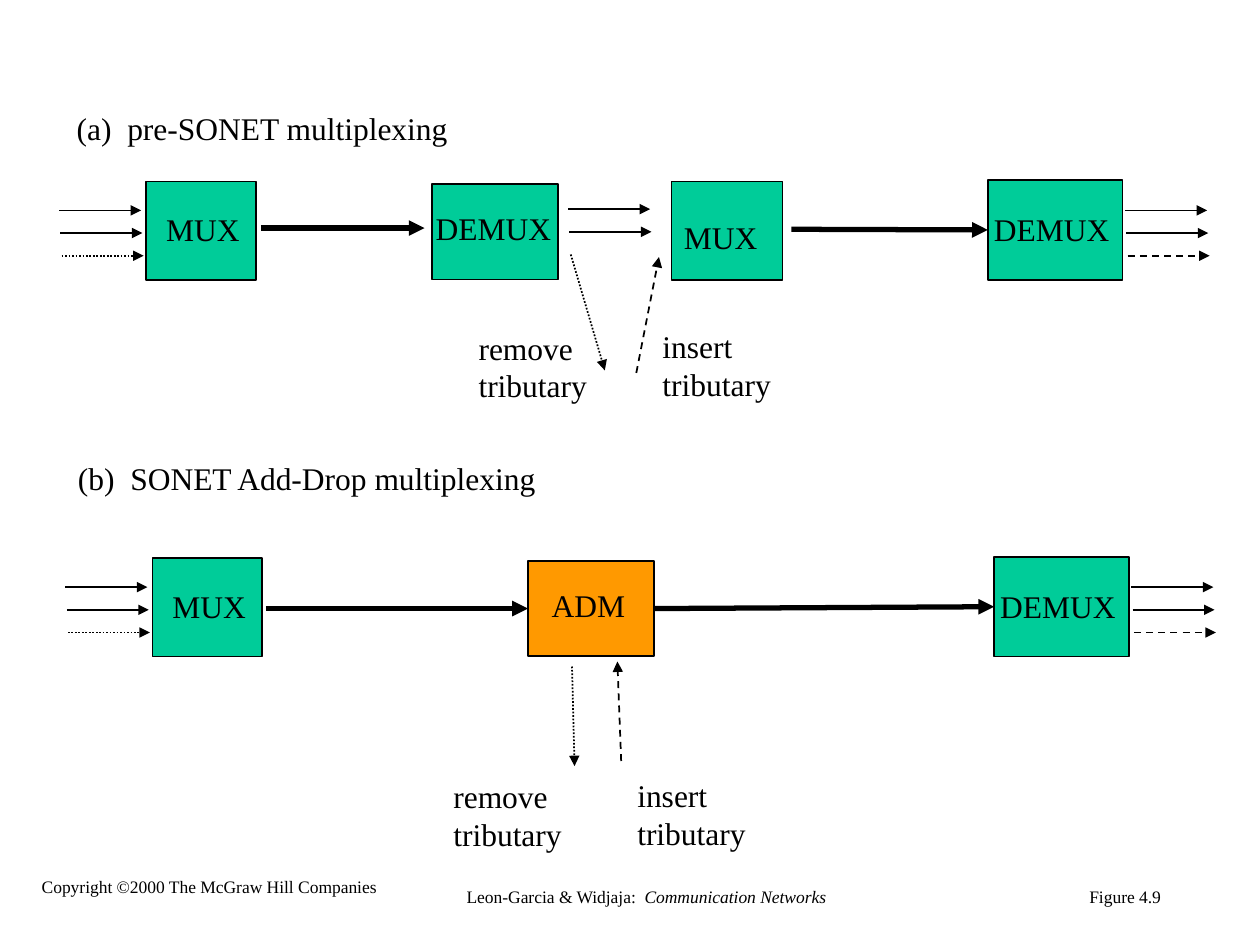
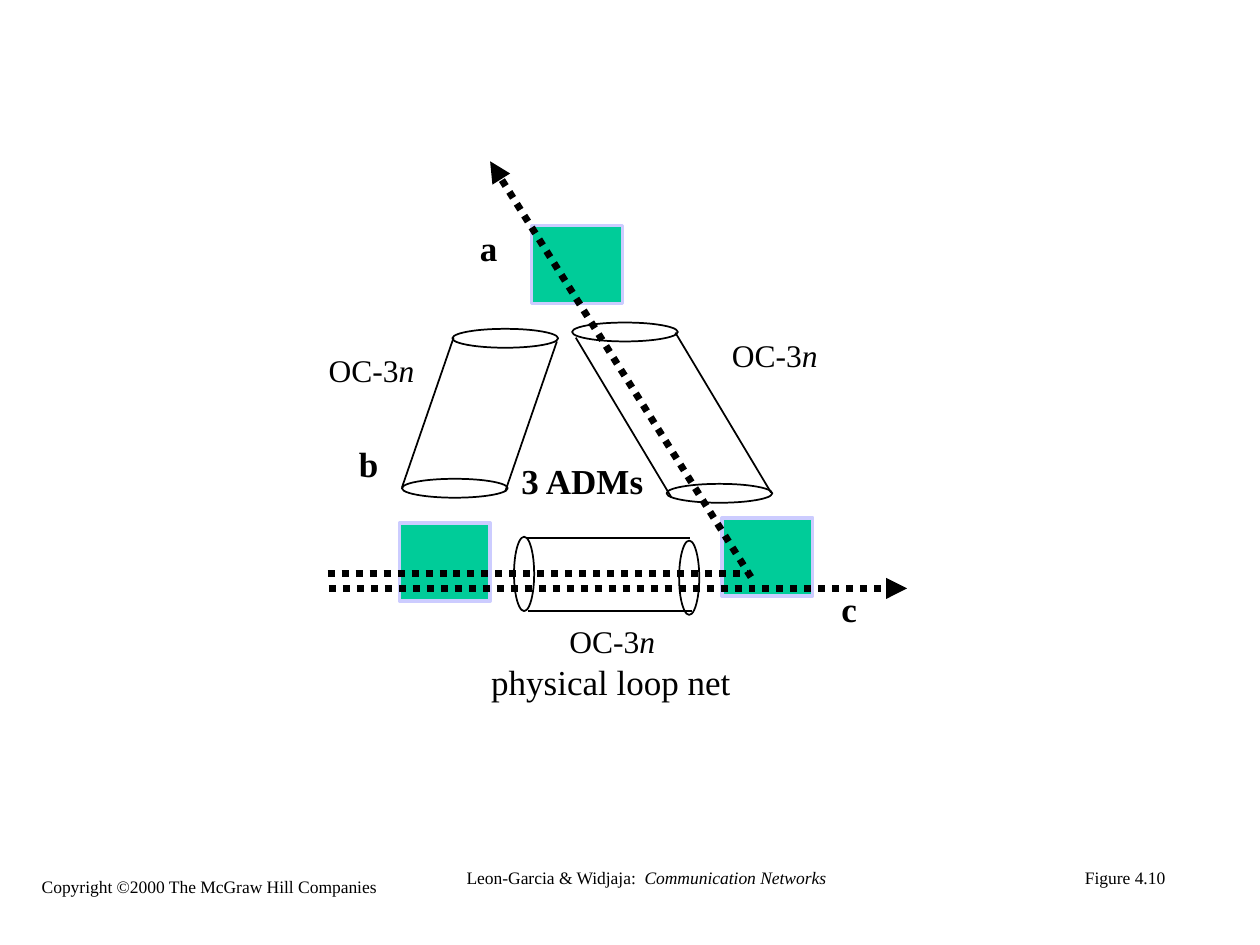
from dataclasses import dataclass

from lxml import etree
from pptx import Presentation
from pptx.dml.color import RGBColor
from pptx.enum.dml import MSO_LINE
from pptx.enum.shapes import MSO_CONNECTOR, MSO_SHAPE
from pptx.enum.text import MSO_ANCHOR, MSO_AUTO_SIZE, PP_ALIGN
from pptx.oxml.ns import qn
from pptx.util import Inches, Pt

RECT, OVAL = MSO_SHAPE.RECTANGLE, MSO_SHAPE.OVAL
STRAIGHT = MSO_CONNECTOR.STRAIGHT
DOT, DASH = MSO_LINE.ROUND_DOT, MSO_LINE.DASH
MIDDLE, CENTER = MSO_ANCHOR.MIDDLE, PP_ALIGN.CENTER
FIT = MSO_AUTO_SIZE.SHAPE_TO_FIT_TEXT
LEFT, RIGHT = 1, 3


@dataclass(frozen=True)
class Theme:
    font: str = "Times New Roman"
    ink: RGBColor = RGBColor(0, 0, 0)
    node: RGBColor = RGBColor(0x00, 0xCC, 0x99)
    drop: RGBColor = RGBColor(0xFF, 0x99, 0x00)
    edge: RGBColor = RGBColor(0xCC, 0xCC, 0xFF)
    foot: int = 10
    body: int = 18
    large: int = 20
    thin: int = 1
    trunk: int = 3
    route: int = 4


THEME = Theme()


class Pen:
    """Draws on a slide, with all places measured from one origin."""

    def __init__(self, slide, left=0, top=0):
        self.slide, self.left, self.top = slide, left, top

    def at(self, x, y):
        return Inches(self.left + x), Inches(self.top + y)

    def shape(self, kind, x, y, wide, high, fill=None, edge=THEME.ink, width=THEME.thin):
        shape = self.slide.shapes.add_shape(kind, *self.at(x, y), Inches(wide), Inches(high))
        shape.shadow.inherit = False
        if fill is None:
            shape.fill.background()
        else:
            shape.fill.solid()
            shape.fill.fore_color.rgb = fill
        shape.line.color.rgb = edge
        shape.line.width = Pt(width)
        return shape

    def line(self, start, end, width=THEME.thin, dash=None, head=True):
        line = self.slide.shapes.add_connector(STRAIGHT, *self.at(*start), *self.at(*end))
        line.line.color.rgb = THEME.ink
        line.line.width = Pt(width)
        if dash:
            line.line.dash_style = dash
        props = line._element.spPr
        if head:
            etree.SubElement(props.find(qn("a:ln")), qn("a:tailEnd"), type="triangle")
        etree.SubElement(props, qn("a:effectLst"))
        return line

    def text(self, words, x, y, wide, high=0.4, size=THEME.body, bold=False, tail=None):
        """Add a text box; tail is an italic ending."""
        box = self.slide.shapes.add_textbox(*self.at(x, y), Inches(wide), Inches(high))
        frame = box.text_frame
        frame.text = words
        frame.word_wrap = False
        frame.auto_size = FIT
        if tail:
            run = frame.paragraphs[-1].add_run()
            run.text = tail
            run.font.italic = True
        for para in frame.paragraphs:
            for run in para.runs:
                run.font.name = THEME.font
                run.font.size = Pt(size)
                run.font.bold = bold
                run.font.color.rgb = THEME.ink
        return frame


def add_footer(slide, figure, width, top):
    pen = Pen(slide)
    mid = 8.93
    frames = [
        pen.text(figure, mid - width / 2, top, width, 0.27, THEME.foot),
        pen.text("Leon-Garcia & Widjaja:  ", 3.6, top, 3.06, 0.27, THEME.foot,
                 tail="Communication Networks"),
        pen.text("Copyright ©2000 The McGraw Hill Companies", 0.23, 6.9, 2.86, 0.27, THEME.foot),
    ]
    for frame in frames:
        frame.vertical_anchor = MIDDLE
        frame.paragraphs[0].alignment = CENTER


def add_flows(pen, x, y, dashes):
    """Draw a stack of short tributary arrows."""
    for i, dash in enumerate(dashes):
        left, level = x + 0.01 * i, y + 0.18 * i
        pen.line((left, level), (left + 0.65, level), dash=dash)


def add_demux_label(pen, x, y):
    pen.text("DEMUX", x, y, 1.14)


def add_ends(pen):
    """Draw the first MUX and last DEMUX of a chain; return the DEMUX."""
    pen.shape(RECT, 0.69, 0.01, 0.87, 0.78, THEME.node)
    demux = pen.shape(RECT, 7.37, 0, 1.07, 0.79, THEME.node)
    pen.text("MUX", 0.75, 0.19, 0.78)
    add_demux_label(pen, 7.32, 0.19)
    add_flows(pen, 0, 0.24, (None, None, DOT))
    add_flows(pen, 8.46, 0.24, (None, None, DASH))
    return demux


def add_notes(pen, x, y):
    pen.text("remove\ntributary", x, y, 1.06, 0.7)
    pen.text("insert\ntributary", x + 1.46, y - 0.01, 1.06, 0.7)


def add_old_chain(slide, left, top):
    pen = Pen(slide, left, top)
    pen.text("(a)  pre-SONET multiplexing", 0.04, -0.61, 3.15)
    last = add_ends(pen)
    pen.shape(RECT, 2.96, 0.03, 1, 0.76, THEME.node)
    pen.shape(RECT, 4.86, 0.01, 0.88, 0.78, THEME.node)
    add_demux_label(pen, 2.89, 0.18)
    pen.text("MUX", 4.86, 0.25, 0.78)
    pen.line((1.6, 0.38), (2.9, 0.38), THEME.trunk)
    pen.line((5.81, 0.39), (7.37, 0.39), THEME.trunk).end_connect(last, LEFT)
    add_flows(pen, 4.04, 0.23, (None, None))
    pen.line((4.06, 0.59), (4.33, 1.51), dash=DOT)
    pen.line((4.58, 1.53), (4.76, 0.61), dash=DASH)
    add_notes(pen, 3.23, 1.13)


def add_new_chain(slide, left, top):
    pen = Pen(slide, left, top)
    pen.text("(b)  SONET Add-Drop multiplexing", 0, -0.83, 3.85)
    last = add_ends(pen)
    adm = pen.shape(RECT, 3.67, 0.03, 1, 0.76, THEME.drop)
    pen.text("ADM", 3.76, 0.18, 0.78)
    pen.line((1.59, 0.41), (3.67, 0.41), THEME.trunk).end_connect(adm, LEFT)
    trunk = pen.line((4.67, 0.4), (7.37, 0.4), THEME.trunk)
    trunk.begin_connect(adm, RIGHT)
    trunk.end_connect(last, LEFT)
    pen.line((4.02, 0.87), (4.04, 1.66), dash=DOT)
    pen.line((4.41, 1.62), (4.38, 0.83), dash=DASH)
    add_notes(pen, 2.98, 1.7)


def add_tube(pen, size, rims, starts, run):
    """Draw a fibre tube: two oval rims and two parallel sides."""
    for rim in rims:
        pen.shape(OVAL, *rim, *size)
    for x, y in starts:
        pen.line((x, y), (x + run[0], y + run[1]), head=False)


def add_loop(slide, left, top):
    pen = Pen(slide, left, top)
    for x, y in ((1.72, 0.54), (0.67, 2.9), (3.23, 2.86)):
        pen.shape(RECT, x, y, 0.72, 0.62, THEME.node, THEME.edge, 2)

    for start, end, head in (
        ((0.11, 3.42), (4.7, 3.42), True),
        ((0.1, 3.3), (3.44, 3.3), False),
        ((3.46, 3.33), (1.39, 0.03), True),
    ):
        pen.line(start, end, THEME.route, DOT, head)

    flat, tall = (0.84, 0.15), (0.16, 0.59)
    add_tube(pen, flat, ((2.04, 1.31), (2.79, 2.59)), ((2.86, 1.39), (2.07, 1.43)), (0.76, 1.27))
    add_tube(pen, flat, ((1.09, 1.36), (0.69, 2.55)), ((1.92, 1.46), (1.1, 1.43)), (-0.41, 1.19))
    add_tube(pen, tall, ((1.58, 3.01), (2.89, 3.04)), ((1.68, 3.02), (1.69, 3.6)), (1.3, 0))

    for name, x, y, wide in (
        ("a", 1.21, 0.5, 0.34), ("b", 0.25, 2.21, 0.35),
        ("c", 4.08, 3.36, 0.32), ("3 ADMs", 1.54, 2.35, 1.18),
    ):
        pen.text(name, x, y, wide, 0.43, THEME.large, bold=True)
    for x, y in ((3.21, 1.37), (0.01, 1.49), (1.92, 3.64)):
        pen.text("OC-3", x, y, 0.88, tail="n")
    pen.text("physical loop net", 1.3, 3.94, 2.1, 0.43, THEME.large)


def main():
    deck = Presentation()
    deck.slide_width, deck.slide_height = Inches(10), Inches(7.5)
    blank = deck.slide_layouts[6]

    chains = deck.slides.add_slide(blank)
    add_old_chain(chains, 0.47, 1.43)
    add_new_chain(chains, 0.52, 4.42)
    add_footer(chains, "Figure 4.9", 0.77, 6.98)

    loop = deck.slides.add_slide(blank)
    add_loop(loop, 2.5, 1.25)
    add_footer(loop, "Figure 4.10", 0.84, 6.83)

    deck.save("out.pptx")


if __name__ == "__main__":
    main()
